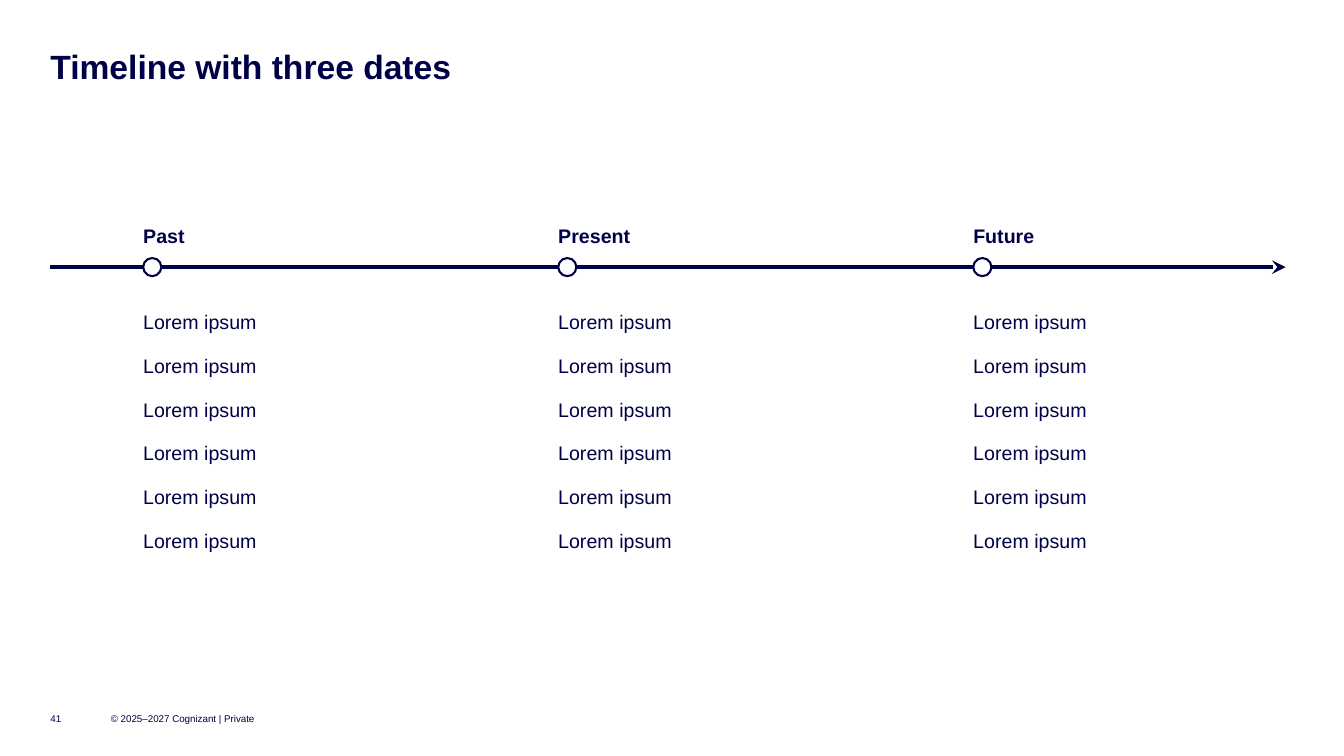
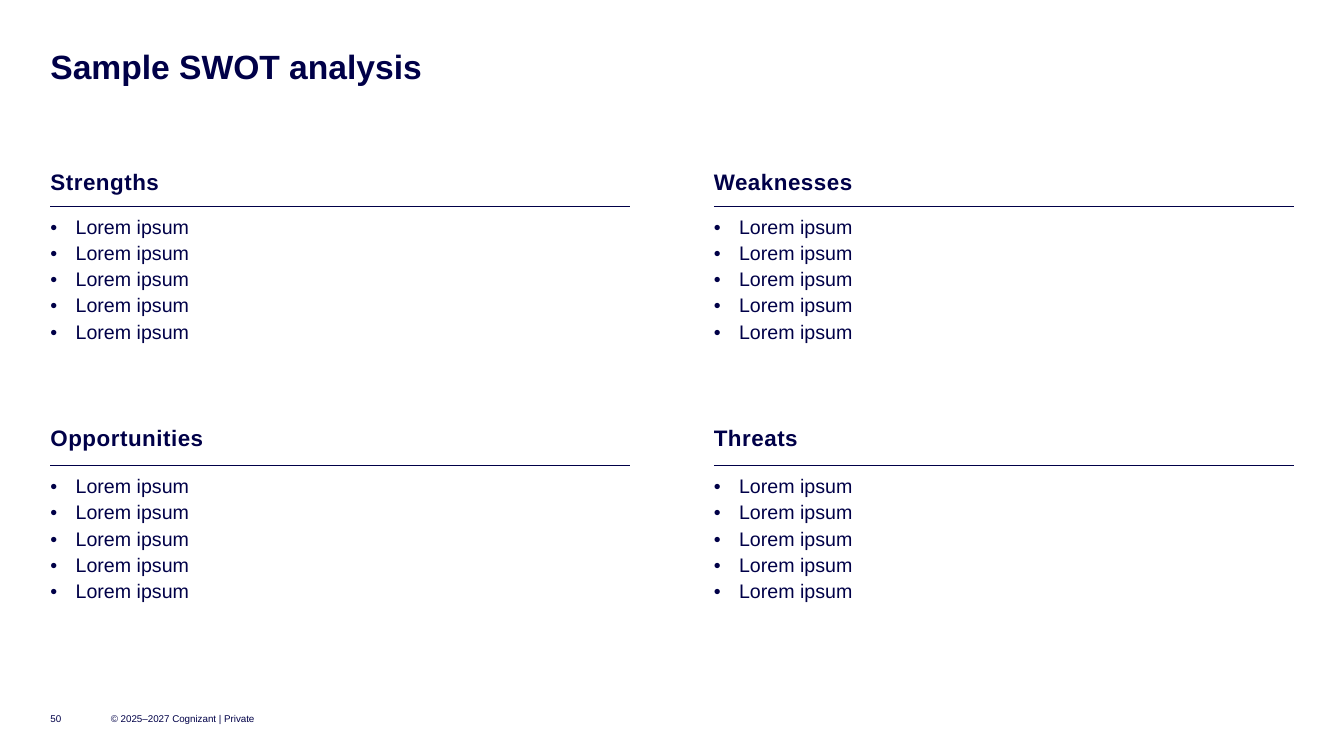
from lxml import etree
from pptx import Presentation
from pptx import util as u
from pptx.dml import color as dml
from pptx.enum import shapes, text
from pptx.oxml import ns

WIDTH, HEIGHT = 13.33, 7.5
MARGIN = 0.5
CONTENT = WIDTH - 2 * MARGIN
NAVY, WHITE = "000048", "FFFFFF"
FONT = "Arial"
LOREM = "Lorem ipsum"
COPYRIGHT = "© 2025–2027 Cognizant | Private"


def rgb(value):
    """Return the colour for a hex string."""
    return dml.RGBColor.from_string(value)


def add_xml(parent, tag, **attributes):
    """Append a DrawingML element with the given attributes."""
    return etree.SubElement(parent, ns.qn(tag), attributes)


def write(frame, lines, size=14, bold=False, line_spacing=None, before=0,
          after=0, tracking=0, bullet=None, margins=(0, 0, 0, 0)):
    """Fill a text frame with one paragraph per line."""
    frame.word_wrap = True
    (frame.margin_left, frame.margin_top,
     frame.margin_right, frame.margin_bottom) = map(u.Inches, margins)
    for index, line in enumerate(lines):
        para = frame.add_paragraph() if index else frame.paragraphs[0]
        if line_spacing:
            para.line_spacing = line_spacing
        para.space_before = u.Pt(before if index else 0)
        para.space_after = u.Pt(after)
        if bullet:
            para.level = 1
            properties = para._p.get_or_add_pPr()
            properties.set("marL", str(u.Inches(0.25)))
            properties.set("indent", str(-u.Inches(0.25)))
            add_xml(properties, "a:buFont", typeface=FONT)
            add_xml(properties, "a:buChar", char=bullet)
        span = para.add_run()
        span.text = line
        span.font.name, span.font.size, span.font.bold = FONT, u.Pt(size), bold
        span.font.color.rgb = rgb(NAVY)
        if tracking:
            span._r.get_or_add_rPr().set("spc", str(round(tracking * 100)))


def add_text(page, left, top, width, height, *lines, middle=False, **style):
    """Place a text box and write its lines."""
    box = page.shapes.add_textbox(*map(u.Inches, (left, top, width, height)))
    anchor = text.MSO_ANCHOR
    box.text_frame.vertical_anchor = anchor.MIDDLE if middle else anchor.TOP
    write(box.text_frame, lines, **style)


def add_page(deck, title, number):
    """Add a blank page with the shared title and footer."""
    page = deck.slides.add_slide(deck.slide_layouts[6])
    page.background.fill.solid()
    page.background.fill.fore_color.rgb = rgb(WHITE)
    add_text(page, MARGIN, 0.5, CONTENT, 0.36, title,
             size=24, bold=True, line_spacing=0.9)
    add_text(page, MARGIN, 7, 0.4, 0.25, str(number), size=7, middle=True)
    add_text(page, MARGIN + 0.6, 7, 1.5, 0.25, COPYRIGHT, size=7, middle=True)
    return page


def add_timeline(page, left, top, width, height, events):
    """Draw an arrow with evenly spaced, labelled dates."""
    axis, dot, inset, drop = top + 0.45, 0.18, 0.92, 0.76
    arrow = page.shapes.add_connector(
        shapes.MSO_CONNECTOR.STRAIGHT,
        *map(u.Inches, (left, axis, left + width - 0.1, axis)))
    arrow.line.color.rgb = rgb(NAVY)
    arrow.line.width = u.Pt(3.25)
    add_xml(arrow.line._get_or_add_ln(), "a:tailEnd", type="stealth")
    add_xml(arrow._element.spPr, "a:effectLst")
    for index, (date, details) in enumerate(events):
        start = left + inset + index * width / len(events)
        add_text(page, start, top, 1.61, 0.24, date,
                 bold=True, line_spacing=1.1)
        add_text(page, start, top + drop, 3, height - drop, *details,
                 line_spacing=1.5, before=6)
        marker = page.shapes.add_shape(
            shapes.MSO_SHAPE.OVAL,
            *map(u.Inches, (start, axis - dot / 2, dot, dot)))
        marker.shadow.inherit = False
        marker.fill.solid()
        marker.fill.fore_color.rgb = rgb(WHITE)
        marker.line.color.rgb = rgb(NAVY)
        marker.line.width = u.Pt(1.5)


def set_borders(cell, ruled_side):
    """Rule one side of a cell and clear the others."""
    properties = cell._tc.get_or_add_tcPr()
    for side in "LRTB":
        line = add_xml(properties, f"a:ln{side}", w=str(u.Pt(1)))
        if side == ruled_side:
            fill = add_xml(line, "a:solidFill")
            add_xml(fill, "a:srgbClr", val=NAVY)
        else:
            add_xml(line, "a:noFill")


def add_quadrant(page, left, top, width, height, heading, points, header):
    """Draw one table with a ruled heading above bullet points."""
    table = page.shapes.add_table(
        2, 1, *map(u.Inches, (left, top, width, height))).table
    table.first_row = table.horz_banding = False
    table.rows[0].height = u.Inches(header)
    table.rows[1].height = u.Inches(height - header)
    head, body = table.cell(0, 0), table.cell(1, 0)
    for cell, side in ((head, "B"), (body, "T")):
        set_borders(cell, side)
        cell.fill.background()
        cell.margin_left = 0
        cell.margin_top = cell.margin_right = cell.margin_bottom = u.Inches(0.1)
    head.vertical_anchor = text.MSO_ANCHOR.MIDDLE
    margins = (0, 0.1, 0.1, 0.1)
    write(head.text_frame, [heading], size=16, bold=True, tracking=0.4,
          margins=margins)
    write(body.text_frame, points, after=3, bullet="•", margins=margins)
    for cell in (head, body):
        frame_properties = cell._tc.txBody.find(ns.qn("a:bodyPr"))
        frame_properties.attrib.clear()


def add_swot(page, left, top, width, height, quadrants):
    """Lay four quadrants out in two columns and two rows."""
    gap = 0.83
    column, row = (width - gap) / 2, height / 2
    for index, (heading, points) in enumerate(quadrants):
        down, across = divmod(index, 2)
        add_quadrant(page, left + across * (column + gap), top + down * row,
                     column, row, heading, points, header=(0.46, 0.53)[down])


def main():
    """Build and save the deck."""
    deck = Presentation()
    deck.slide_width, deck.slide_height = u.Inches(WIDTH), u.Inches(HEIGHT)

    page = add_page(deck, "Timeline with three dates", 41)
    add_timeline(page, MARGIN, 2.2, 12.35, 3.75,
                 [(date, [LOREM] * 6) for date in ("Past", "Present", "Future")])

    page = add_page(deck, "Sample SWOT analysis", 50)
    headings = ("Strengths", "Weaknesses", "Opportunities", "Threats")
    add_swot(page, MARGIN, 1.58, CONTENT, 5.02,
             [(heading, [LOREM] * 5) for heading in headings])
    deck.save("out.pptx")


if __name__ == "__main__":
    main()
